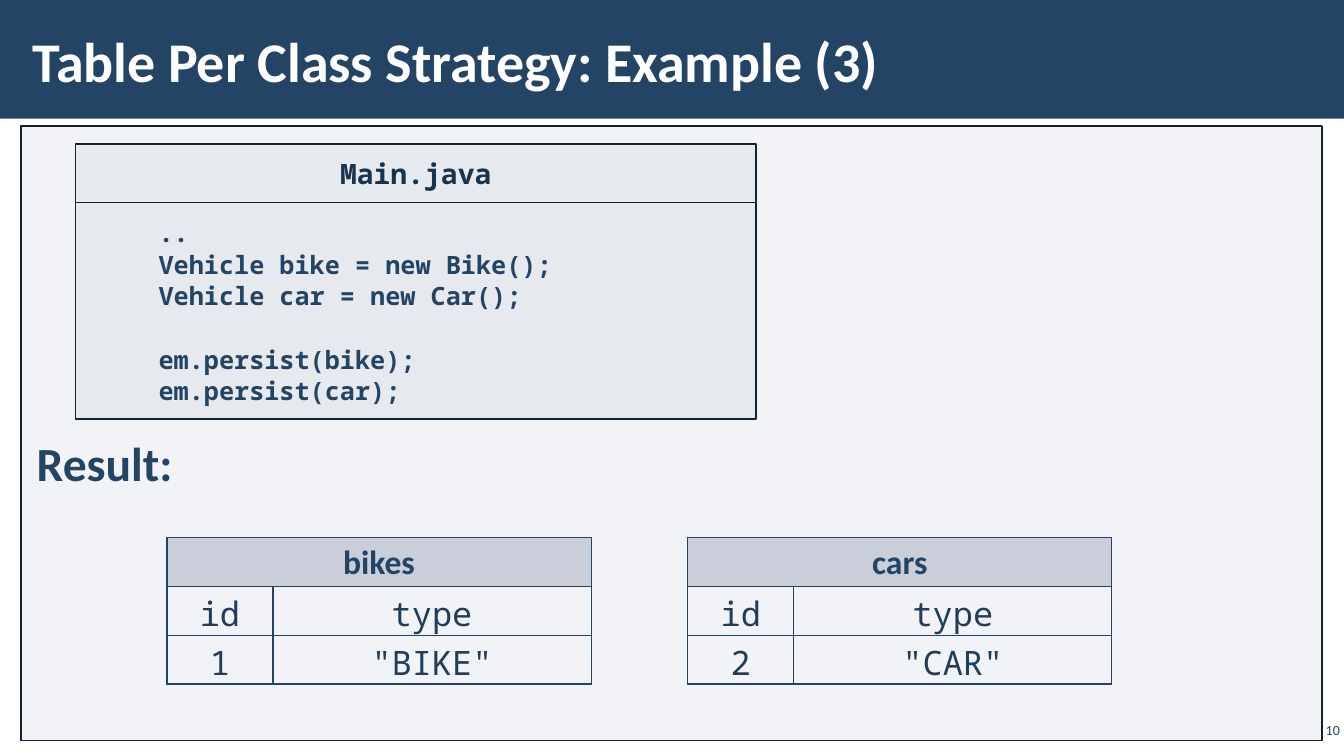
from lxml.etree import SubElement
from pptx import Presentation
from pptx.dml.color import RGBColor
from pptx.enum.shapes import MSO_SHAPE
from pptx.enum.text import MSO_ANCHOR, MSO_AUTO_SIZE, PP_ALIGN
from pptx.oxml import parse_xml
from pptx.oxml.ns import nsdecls, qn
from pptx.util import Emu, Pt

EMU_PER_PX = 9525
SANS, MONO = "Calibri", "Noto Sans Mono"
NAVY, INK, CELL_INK, EDGE = "234465", "1A334C", "203D5B", "112233"


def px(length):
    """Turn whole pixels into EMU."""
    return Emu(length * EMU_PER_PX)


def colour(value):
    """Turn a hex string into a colour."""
    return RGBColor.from_string(value)


def set_margins(holder, side, top, bottom=None):
    """Set the inner margins of a text frame or table cell."""
    holder.margin_left = holder.margin_right = px(side)
    holder.margin_top = px(top)
    holder.margin_bottom = px(top if bottom is None else bottom)


def place(shape, box):
    """Move a shape to a pixel box."""
    shape.left, shape.top, shape.width, shape.height = map(px, box)


def format_text(para, size, font, hex_colour, bold=False, align=PP_ALIGN.LEFT, spacing=1.0):
    """Format a paragraph and all its runs."""
    para.alignment = align
    para.line_spacing = spacing
    para.space_before = para.space_after = Pt(0)
    for span in para.runs:
        span.font.size, span.font.name, span.font.bold = Pt(size), font, bold
        span.font.color.rgb = colour(hex_colour)


def set_indent(para, left):
    """Indent a whole paragraph and remove its bullet."""
    properties = para._p.get_or_add_pPr()
    properties.set("marL", str(px(left)))
    properties.set("indent", "0")
    SubElement(properties, qn("a:buNone"))


def set_alpha(element, percent):
    """Make the first colour inside an element translucent."""
    tint = next(element.iter(qn("a:srgbClr")))
    SubElement(tint, qn("a:alpha")).set("val", str(percent * 1000))


def add_panel(page, box, fill, line=None):
    """Add a filled rectangle, outlined if a line colour is given."""
    panel = page.shapes.add_shape(MSO_SHAPE.RECTANGLE, *map(px, box))
    panel.shadow.inherit = False
    panel.fill.solid()
    panel.fill.fore_color.rgb = colour(fill)
    if line:
        panel.line.color.rgb = colour(line)
        panel.line.width = Pt(1)
    else:
        panel.line.fill.background()
    return panel


def add_header(page, box, text):
    """Fill the title placeholder and put the band behind it."""
    left, top, width, height = box
    title = page.shapes.title
    title.element.addprevious(add_panel(page, box, NAVY).element)
    place(title, (left + 20, top + 13, 997, height - 22))
    frame = title.text_frame
    frame.text = text
    frame.auto_size = MSO_AUTO_SIZE.NONE
    frame.vertical_anchor = MSO_ANCHOR.MIDDLE
    set_margins(frame, 11, 4)
    format_text(frame.paragraphs[0], 40, SANS, "FFFFFF", bold=True)


def add_body(page, box, text, text_top):
    """Fill the framed body placeholder with a heading at a given depth."""
    body = page.placeholders[1]
    place(body, box)
    body.fill.solid()
    body.fill.fore_color.rgb = colour("F1F3F6")
    body.line.color.rgb = colour(EDGE)
    body.line.width = Pt(1)
    frame = body.text_frame
    frame.text = text
    frame.auto_size = MSO_AUTO_SIZE.NONE
    frame.vertical_anchor = MSO_ANCHOR.TOP
    set_margins(frame, 15, text_top, 4)
    para = frame.paragraphs[0]
    format_text(para, 34, SANS, NAVY, bold=True, spacing=1.05)
    set_indent(para, 0)


def add_code(page, box, name, blocks):
    """Add a file name bar above a panel of code blocks."""
    left, top, width, height = box
    bar = 56
    listing = add_panel(page, (left, top + bar, width, height - bar), "ADB4C3", EDGE)
    heading = add_panel(page, (left, top, width, bar), "ADB4C3", EDGE)
    for panel in (listing, heading):
        set_alpha(panel.element, 15)
        set_margins(panel.text_frame, 15, 12)
        panel.text_frame.word_wrap = True
        panel.text_frame.vertical_anchor = MSO_ANCHOR.MIDDLE
    heading.text_frame.text = name
    format_text(heading.text_frame.paragraphs[0], 20, MONO, INK, True, PP_ALIGN.CENTER)

    frame = listing.text_frame
    frame.text = "\n".join(line for block in blocks for line in block)
    starts = {sum(map(len, blocks[:index])) for index in range(1, len(blocks))}
    for index, para in enumerate(frame.paragraphs):
        format_text(para, 18, MONO, NAVY, bold=True, spacing=1.05)
        if index in starts:
            para.space_before = Pt(22.5)
        set_indent(para, 64)


def add_borders(frame):
    """Draw thin borders round every cell of a table."""
    for properties in frame.element.iter(qn("a:tcPr")):
        for index, side in enumerate("LRTB"):
            properties.insert(index, parse_xml(
                f'<a:ln{side} {nsdecls("a")} w="12700"><a:solidFill>'
                f'<a:srgbClr val="{NAVY}"/></a:solidFill></a:ln{side}>'))


def add_records(page, box, name, rows):
    """Add a database table under a merged name row."""
    left, top, width, height = box
    frame = page.shapes.add_table(len(rows) + 1, 2, *map(px, box))
    table = frame.table
    table.first_row = table.horz_banding = False
    for column, share in zip(table.columns, (1, 3)):
        column.width = px(width * share // 4)
    for row in table.rows:
        row.height = px(height // (len(rows) + 1))
    table.cell(0, 0).merge(table.cell(0, 1))
    for row_index, values in enumerate([(name, ""), *rows]):
        is_head = row_index == 0
        for column_index, value in enumerate(values):
            cell = table.cell(row_index, column_index)
            set_margins(cell, 16, 5)
            if is_head:
                cell.fill.solid()
                cell.fill.fore_color.rgb = colour("A3ABBC")
            else:
                cell.fill.background()
            cell.text_frame.text = value
            format_text(cell.text_frame.paragraphs[0], 24, SANS if is_head else MONO,
                        NAVY if is_head else CELL_INK, is_head, PP_ALIGN.CENTER, 0.95)
    set_alpha(next(frame.element.iter(qn("a:tcPr"))), 50)
    add_borders(frame)


def add_page_number(page, box, number):
    """Add the page number in the corner."""
    frame = page.shapes.add_textbox(*map(px, box)).text_frame
    frame.word_wrap = True
    frame.vertical_anchor = MSO_ANCHOR.MIDDLE
    set_margins(frame, 4, 4)
    frame.text = number
    format_text(frame.paragraphs[0], 10, SANS, NAVY, align=PP_ALIGN.RIGHT)


def main():
    """Build and save the slide."""
    deck = Presentation()
    deck.slide_width, deck.slide_height = px(1280), px(720)
    page = deck.slides.add_slide(deck.slide_layouts[1])
    add_header(page, (0, -2, 1280, 115), "Table Per Class Strategy: Example (3)")
    add_body(page, (20, 120, 1239, 585), "Result:", 291)
    add_page_number(page, (1235, 685, 45, 21), "10")
    add_code(page, (72, 137, 648, 262), "Main.java", [
        ["..", "Vehicle bike = new Bike();", "Vehicle car = new Car();"],
        ["em.persist(bike);", "em.persist(car);"],
    ])
    records = [("bikes", "1", '"BIKE"'), ("cars", "2", '"CAR"')]
    for index, (name, key, kind) in enumerate(records):
        add_records(page, (159 + index * 496, 512, 404, 138), name, [("id", "type"), (key, kind)])
    deck.save("out.pptx")


if __name__ == "__main__":
    main()
